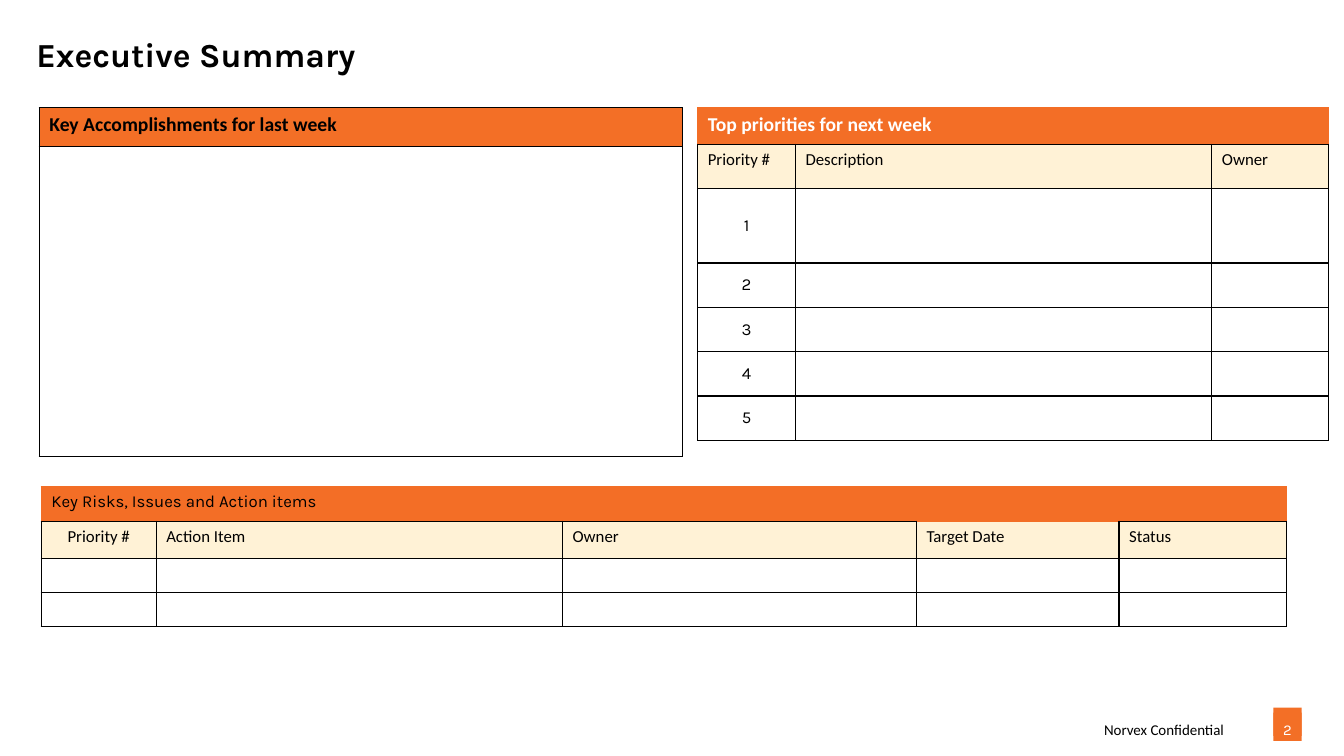
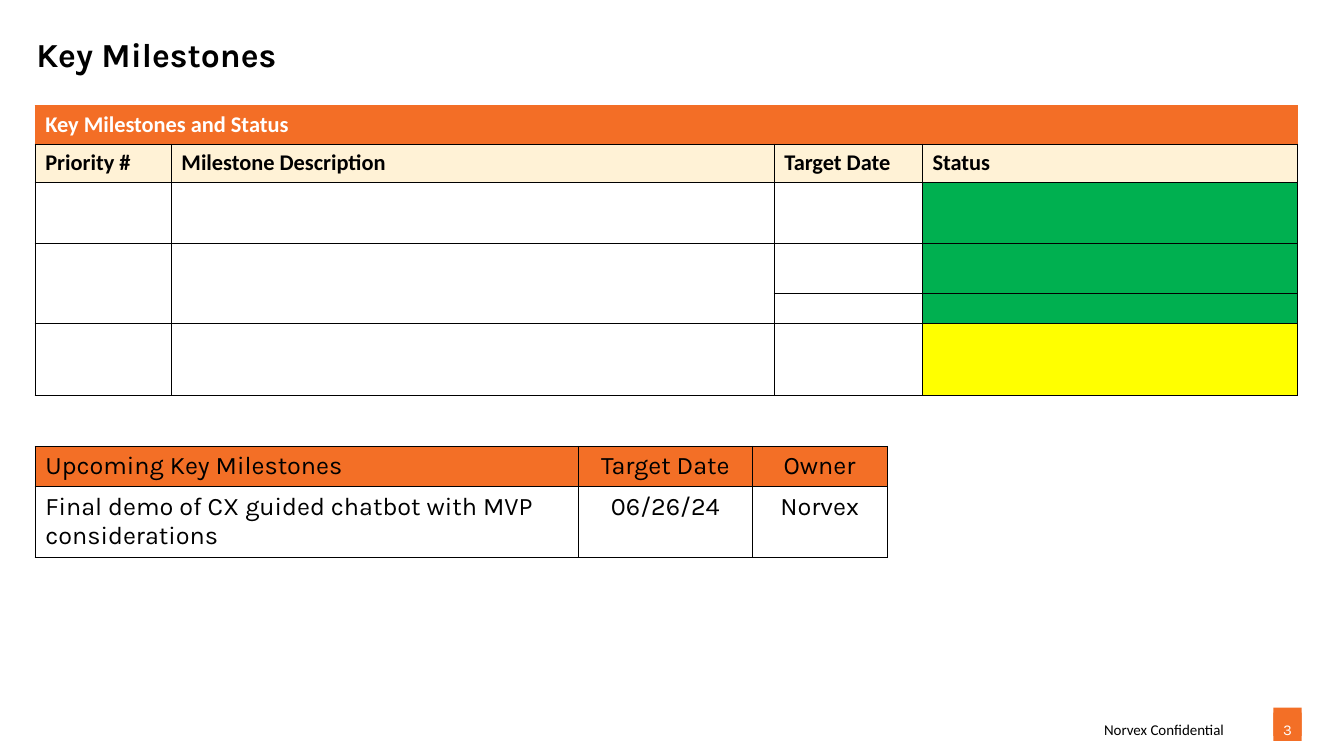
from dataclasses import dataclass, replace
from lxml.etree import SubElement
from pptx import Presentation
from pptx.dml.color import RGBColor as RGB
from pptx.enum.shapes import MSO_SHAPE as Shape
from pptx.enum.text import MSO_ANCHOR as Anchor, MSO_AUTO_SIZE as Fit, PP_ALIGN as Align
from pptx.oxml.ns import qn
from pptx.util import Inches, Pt


@dataclass(frozen=True)
class Theme:
    """Colours, fonts and type sizes of the deck."""
    black: str = "000000"
    white: str = "FFFFFF"
    badge: str = "F36F26"
    band: str = "F36E26"
    cream: str = "FFF2D6"
    green: str = "00B050"
    yellow: str = "FFFF00"
    sans: str = "Calibri"
    head: str = "Karla"
    title: float = 24
    large: float = 18
    mid: float = 16
    sub: float = 14
    small: float = 12
    foot: float = 10.7


T = Theme()


@dataclass(frozen=True)
class Style:
    """Look of one piece of text and of the cell behind it."""
    size: float = T.small
    font: str = T.sans
    color: str = T.black
    bold: bool = False
    align: Align = Align.LEFT
    anchor: Anchor = Anchor.TOP
    fill: str = T.white


LABEL = Style(fill=T.cream)
RANK = Style(font=T.head, align=Align.CENTER, anchor=Anchor.MIDDLE)
BAND = Style(T.sub, color=T.white, bold=True, fill=T.band)
ITEM = Style(T.large, T.head)


def write(frame, text, style):
    """Add one styled run to the first paragraph."""
    para = frame.paragraphs[0]
    para.alignment = style.align
    run = para.add_run()
    run.text = text
    font = run.font
    font.size, font.name, font.bold = Pt(style.size), style.font, style.bold
    font.color.rgb = RGB.from_string(style.color)


def edge(cell, **tints):
    """Draw the four borders, black unless a side is given a tint."""
    props = cell._tc.get_or_add_tcPr()
    for side in "LRTB":
        line = SubElement(props, qn(f"a:ln{side}"), w=str(Pt(1)))
        fill = SubElement(line, qn("a:solidFill"))
        SubElement(fill, qn("a:srgbClr"), val=tints.get(side, T.black))


def paint(cell, color):
    """Fill a cell with one colour."""
    cell.fill.solid()
    cell.fill.fore_color.rgb = RGB.from_string(color)


def put(cell, text, style):
    """Write and colour one cell."""
    cell.margin_top = cell.margin_bottom = Inches(0.05)
    cell.vertical_anchor = style.anchor
    paint(cell, style.fill)
    write(cell.text_frame, text, style)


def grid(slide, left, top, cols, rows, tints=None):
    """Place a plain ruled table; tints maps cells to border colours."""
    box = map(Inches, (left, top, sum(cols), sum(rows)))
    table = slide.shapes.add_table(len(rows), len(cols), *box).table
    table.first_row = table.horz_banding = False
    for col, width in zip(table.columns, cols):
        col.width = Inches(width)
    for r, height in enumerate(rows):
        table.rows[r].height = Inches(height)
        for c in range(len(cols)):
            cell = table.cell(r, c)
            cell.margin_top = cell.margin_bottom = 0
            edge(cell, **(tints or {}).get((r, c), {}))
            paint(cell, T.white)
    return table


def banded(slide, left, top, cols, rows, head, style, names, look, span=None, tints=None):
    """Place a table with a merged band above a row of labels."""
    last = len(cols) - 1
    sides = {(0, c): {"T": T.band} for c in range(last + 1)}
    for c in range(last):
        sides[0, c]["R"] = sides[0, c + 1]["L"] = T.band
    sides[0, 0]["L"] = sides[0, last]["R"] = T.band
    table = grid(slide, left, top, cols, rows, sides | (tints or {}))
    for c in range(last + 1):
        paint(table.cell(0, c), T.band)
    table.cell(0, 0).merge(table.cell(0, (span or len(cols)) - 1))
    put(table.cell(0, 0), head, style)
    for c, name in enumerate(names):
        put(table.cell(1, c), name, look)
    return table


def label(slide, box, text, style, wrap, inset):
    """Place a text box."""
    frame = slide.shapes.add_textbox(*map(Inches, box)).text_frame
    frame.word_wrap = wrap
    if not inset:
        frame.margin_left = frame.margin_right = 0
        frame.margin_top = frame.margin_bottom = 0
    write(frame, text, style)


def footer(slide, num):
    """Place the page badge and the confidentiality line."""
    for top in (7.02, 7.07):
        box = map(Inches, (12.63, top, 0.28, 0.28))
        badge = slide.shapes.add_shape(Shape.RECTANGLE, *box)
        badge.shadow.inherit = False
        badge.fill.solid()
        badge.fill.fore_color.rgb = RGB.from_string(T.badge)
        badge.line.fill.background()
    page = Style(T.foot, T.head, T.white, align=Align.CENTER)
    label(slide, (12.58, 7.1, 0.38, 0.28), str(num), page, False, True)
    label(slide, (10.95, 7.15, 2.11, 0.18), "Norvex Confidential", Style(T.foot), True, False)


def start(deck, title, num):
    """Add a slide with its title and footer."""
    slide = deck.slides.add_slide(deck.slide_layouts[5])
    head = slide.shapes.title
    head.left, head.top, head.width, head.height = map(Inches, (0.36, 0.37, 12.62, 0.39))
    frame = head.text_frame
    frame.auto_size, frame.word_wrap = Fit.NONE, True
    frame.vertical_anchor = Anchor.MIDDLE
    frame.margin_left = 0
    frame.paragraphs[0].line_spacing = 0.9
    write(frame, title, Style(T.title, T.head, bold=True))
    footer(slide, num)
    return slide


def wins(slide, left, top):
    """Place the box for last week's results."""
    table = grid(slide, left, top, [6.38], [0.38, 3.08])
    put(table.cell(0, 0), "Key Accomplishments for last week",
        replace(BAND, color=T.black, fill=T.badge))


def plans(slide, left, top):
    """Place the ranked list for next week."""
    table = banded(slide, left, top, [0.97, 4.13, 1.16], [0.36, 0.44, 0.74] + [0.44] * 4,
                   "Top priorities for next week", BAND,
                   ("Priority #", "Description", "Owner"), LABEL)
    for rank in range(1, 6):
        put(table.cell(rank + 1, 0), str(rank), RANK)


def risks(slide, left, top):
    """Place the log of risks and actions."""
    names = "Priority #", "Action Item", "Owner", "Target Date", "Status"
    table = banded(slide, left, top, [1.14, 4.03, 3.51, 2.01, 1.66], [0.34, 0.37, 0.34, 0.34],
                   "Key Risks, Issues and Action items", Style(font=T.head, fill=T.band),
                   names, LABEL, tints={(1, 3): {"T": T.band}})
    table.cell(1, 0).text_frame.paragraphs[0].alignment = Align.CENTER


def status(slide, left, top):
    """Place the milestones with their status colours."""
    names = "Priority #", "Milestone Description", "Target Date", "Status"
    table = banded(slide, left, top, [1.35, 5.98, 1.47, 3.72],
                   [0.38, 0.38, 0.61, 0.49, 0.3, 0.71],
                   "Key Milestones and Status", replace(BAND, size=T.mid), names,
                   replace(LABEL, size=T.mid, bold=True), span=3)
    for c in range(2):
        table.cell(3, c).merge(table.cell(4, c))
    for r, color in enumerate([T.green] * 3 + [T.yellow], 2):
        paint(table.cell(r, 3), color)


def coming(slide, left, top):
    """Place the list of coming milestones."""
    rows = (("Upcoming Key Milestones", "Target Date", "Owner"),
            ("Final demo of CX guided chatbot with MVP considerations", "06/26/24", "Norvex"))
    table = grid(slide, left, top, [5.39, 1.72, 1.34], [0.4, 0.69])
    for r, (row, fill) in enumerate(zip(rows, (T.badge, T.white))):
        for c, text in enumerate(row):
            align = Align.CENTER if c else Align.LEFT
            put(table.cell(r, c), text, replace(ITEM, fill=fill, align=align))


def main():
    """Build and save the deck."""
    deck = Presentation()
    deck.slide_width, deck.slide_height = Inches(13.33), Inches(7.5)
    slide = start(deck, "Executive Summary", 2)
    wins(slide, 0.39, 1.07)
    plans(slide, 6.92, 1.07)
    risks(slide, 0.41, 4.83)
    slide = start(deck, "Key Milestones", 3)
    status(slide, 0.35, 1.05)
    coming(slide, 0.35, 4.43)
    deck.save("out.pptx")


if __name__ == "__main__":
    main()
